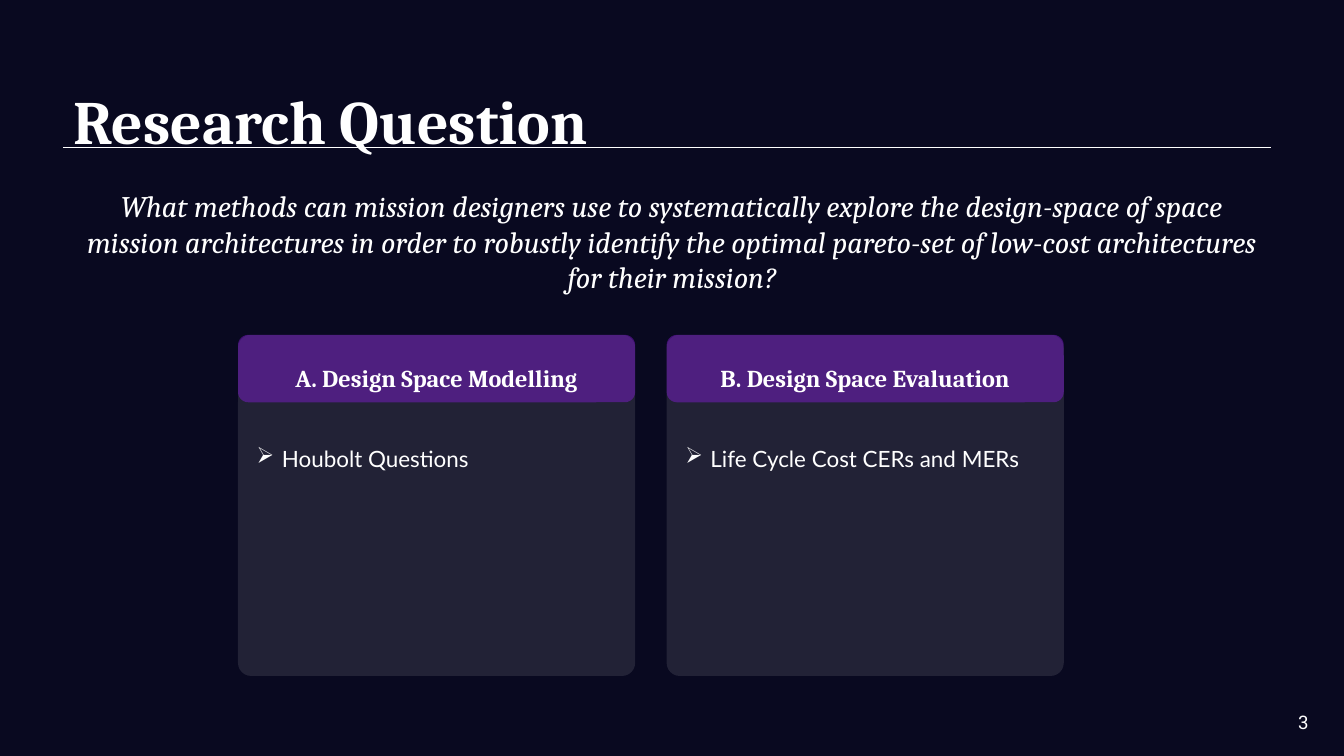
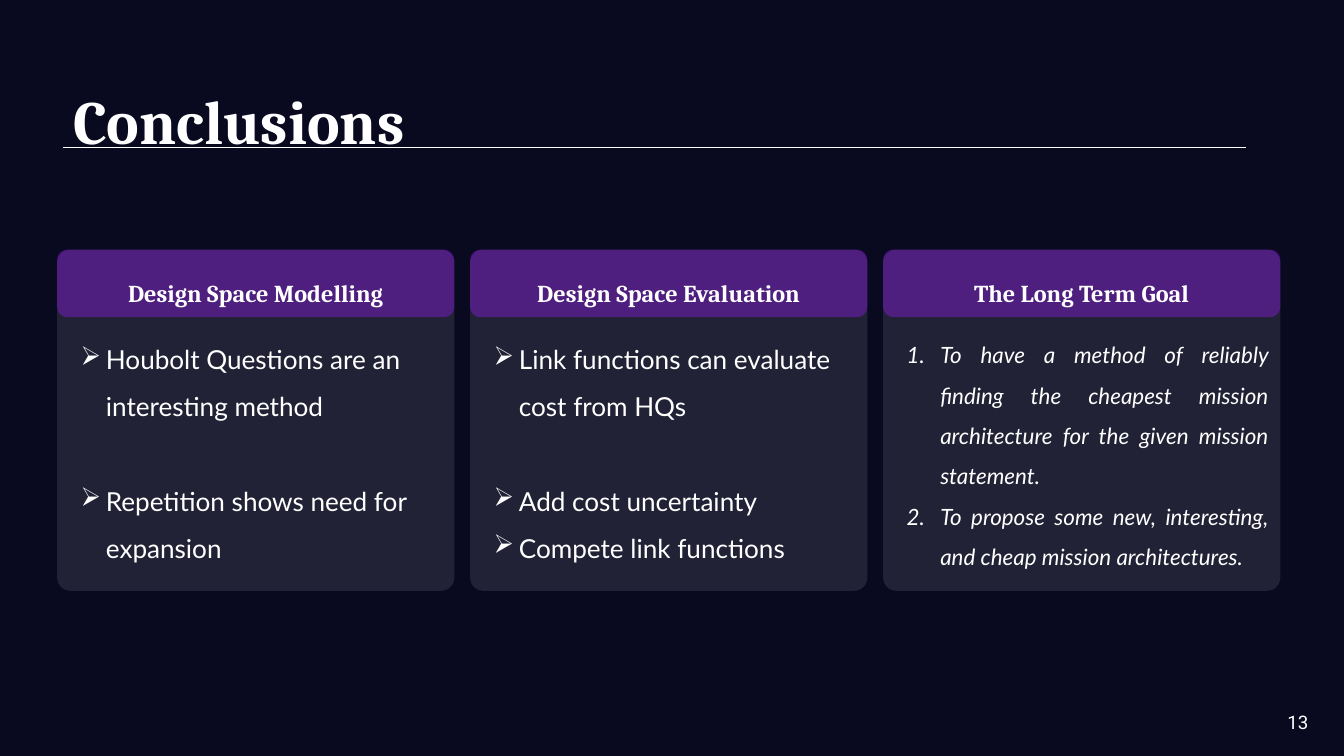
from dataclasses import dataclass

import pptx
import pptx.dml.color
import pptx.enum.shapes
import pptx.enum.text
import pptx.oxml
import pptx.oxml.ns
import pptx.util
from lxml import etree

Pt = pptx.util.Pt
Align = pptx.enum.text.PP_ALIGN
Anchor = pptx.enum.text.MSO_ANCHOR
qn = pptx.oxml.ns.qn

# Shared look
NIGHT, WHITE, PURPLE = "090920", "FFFFFF", "911BED"
SERIF, SANS, NUMERAL = "Cambria", "Lato", "Roboto"
CARD_WIDTH, CARD_HEIGHT, HEADER_HEIGHT = 425.5, 365.5, 72.25
BODY_WIDTH = 387.5


@dataclass(frozen=True)
class Style:
    font: str
    size: float
    bold: bool = False
    italic: bool = False
    align: Align = Align.LEFT
    spacing: float = 1.0


TITLE = Style(SERIF, 66, bold=True, spacing=1.28)
PAGE_NUMBER = Style(NUMERAL, 20, align=Align.RIGHT, spacing=1.3)
QUESTION = Style(SERIF, 32, italic=True, align=Align.CENTER)
HEADING = Style(SERIF, 26, bold=True, align=Align.CENTER, spacing=1.62)
TOPIC = Style(SANS, 24, spacing=1.5)
FINDING = Style(SANS, 28, spacing=1.5)
GOAL = Style(SANS, 24, italic=True, align=Align.JUSTIFY, spacing=1.5)


@dataclass(frozen=True)
class Item:
    text: str
    space_before: float = 0


@dataclass(frozen=True)
class Card:
    heading: str
    items: tuple[Item, ...]
    style: Style
    numbered: bool = False


@dataclass(frozen=True)
class CardRow:
    left: float
    top: float
    pitch: float
    body_inset: float
    body_offset: float
    body_height: float


# Formatting helpers
def color(value: str) -> pptx.dml.color.RGBColor:
    return pptx.dml.color.RGBColor.from_string(value)


def prepare_frame(frame, inset: tuple[float, float] = (0, 0), anchor: Anchor = Anchor.TOP) -> None:
    frame.word_wrap = True
    frame.auto_size = pptx.enum.text.MSO_AUTO_SIZE.NONE
    frame.vertical_anchor = anchor
    frame.margin_left = frame.margin_right = Pt(inset[0])
    frame.margin_top = frame.margin_bottom = Pt(inset[1])


def write(para, text: str, style: Style) -> None:
    para.alignment = style.align
    para.line_spacing = style.spacing
    span = para.add_run()
    span.text = text
    span.font.name = style.font
    span.font.size = Pt(style.size)
    span.font.bold = style.bold
    span.font.italic = style.italic
    span.font.color.rgb = color(WHITE)


def add_bullet(para, numbered: bool) -> None:
    indent = Pt(36 if numbered else 27)
    properties = para._p.get_or_add_pPr()
    properties.set("marL", str(indent))
    properties.set("indent", str(-indent))
    bullet_color = etree.SubElement(properties, qn("a:buClr"))
    etree.SubElement(bullet_color, qn("a:srgbClr"), val=WHITE)
    if numbered:
        etree.SubElement(properties, qn("a:buAutoNum"), type="arabicPeriod")
    else:
        etree.SubElement(properties, qn("a:buChar"), char="➢")


def add_text(page, left: float, top: float, width: float, height: float,
             text: str, style: Style, inset: tuple[float, float] = (0, 0)) -> None:
    box = page.shapes.add_textbox(Pt(left), Pt(top), Pt(width), Pt(height))
    prepare_frame(box.text_frame, inset)
    write(box.text_frame.paragraphs[0], text, style)


def add_panel(page, left: float, top: float, height: float, radius: float,
              fill: str, opacity: int):
    panel = page.shapes.add_shape(
        pptx.enum.shapes.MSO_SHAPE.ROUNDED_RECTANGLE,
        Pt(left), Pt(top), Pt(CARD_WIDTH), Pt(height))
    panel.adjustments[0] = radius / height
    panel.shadow.inherit = False
    panel.line.fill.background()
    panel.fill.solid()
    panel.fill.fore_color.rgb = color(fill)
    fill_color = panel._element.spPr.find(qn("a:solidFill")).find(qn("a:srgbClr"))
    etree.SubElement(fill_color, qn("a:alpha"), val=str(opacity * 1000))
    return panel


# Slide parts
def add_page(deck, title: str, number: str, rule_end: float):
    page = deck.slides.add_slide(deck.slide_layouts[5])
    add_text(page, 1348.5, 754, 53.5, 31.5, number, PAGE_NUMBER)

    heading = page.shapes.title
    heading.left, heading.top = Pt(78.5), Pt(66.25)
    heading.width, heading.height = Pt(1268), Pt(102)
    prepare_frame(heading.text_frame)
    write(heading.text_frame.paragraphs[0], title, TITLE)

    rule = page.shapes.add_connector(
        pptx.enum.shapes.MSO_CONNECTOR.STRAIGHT,
        Pt(67.75), Pt(158.25), Pt(rule_end), Pt(158.25))
    rule.line.color.rgb = color(WHITE)
    rule.line.width = Pt(0.75)
    etree.SubElement(rule._element.spPr, qn("a:effectLst"))
    return page


def add_card(page, card: Card, left: float, row: CardRow) -> None:
    add_panel(page, left, row.top, CARD_HEIGHT, 14, WHITE, 10)

    body = page.shapes.add_textbox(
        Pt(left + row.body_inset), Pt(row.top + row.body_offset),
        Pt(BODY_WIDTH), Pt(row.body_height))
    prepare_frame(body.text_frame)
    for index, item in enumerate(card.items):
        para = body.text_frame.paragraphs[0] if index == 0 else body.text_frame.add_paragraph()
        write(para, item.text, card.style)
        if item.space_before:
            para.space_before = Pt(item.space_before)
        add_bullet(para, card.numbered)

    header = add_panel(page, left, row.top, HEADER_HEIGHT, 11, PURPLE, 40)
    prepare_frame(header.text_frame, anchor=Anchor.MIDDLE)
    write(header.text_frame.paragraphs[0], card.heading, HEADING)


def add_cards(page, cards: tuple[Card, ...], row: CardRow) -> None:
    for index, card in enumerate(cards):
        add_card(page, card, row.left + index * row.pitch, row)


# Content
QUESTION_TEXT = (
    "What methods can mission designers use to systematically explore the design-space "
    "of space mission architectures in order to robustly identify the optimal pareto-set "
    "of low-cost architectures for their mission?")

QUESTION_CARDS = (
    Card("A. Design Space Modelling", (Item("Houbolt Questions"),), TOPIC),
    Card("B. Design Space Evaluation", (Item("Life Cycle Cost CERs and MERs"),), TOPIC),
)

CONCLUSION_CARDS = (
    Card("Design Space Modelling", (
        Item("Houbolt Questions are an interesting method"),
        Item("Repetition shows need for expansion", space_before=50.4),
    ), FINDING),
    Card("Design Space Evaluation", (
        Item("Link functions can evaluate cost from HQs"),
        Item("Add cost uncertainty", space_before=50.4),
        Item("Compete link functions"),
    ), FINDING),
    Card("The Long Term Goal", (
        Item("To have a method of reliably finding the cheapest mission architecture "
             "for the given mission statement."),
        Item("To propose some new, interesting, and cheap mission architectures."),
    ), GOAL, numbered=True),
)


def main() -> None:
    deck = pptx.Presentation()
    deck.slide_width, deck.slide_height = Pt(1440), Pt(810)
    background = deck.slide_master.background.fill
    background.solid()
    background.fore_color.rgb = color(NIGHT)

    # Research question
    page = add_page(deck, "Research Question", "3", 1361.5)
    add_text(page, 78.5, 197.25, 1283, 124, QUESTION_TEXT, QUESTION, inset=(7.2, 3.6))
    add_cards(page, QUESTION_CARDS, CardRow(255, 358.75, 459.25, 20, 103.5, 44))

    # Conclusions
    page = add_page(deck, "Conclusions", "13", 1335.5)
    add_cards(page, CONCLUSION_CARDS, CardRow(61.25, 267.5, 442.5, 25.25, 84, 260))

    deck.save("out.pptx")


if __name__ == "__main__":
    main()
